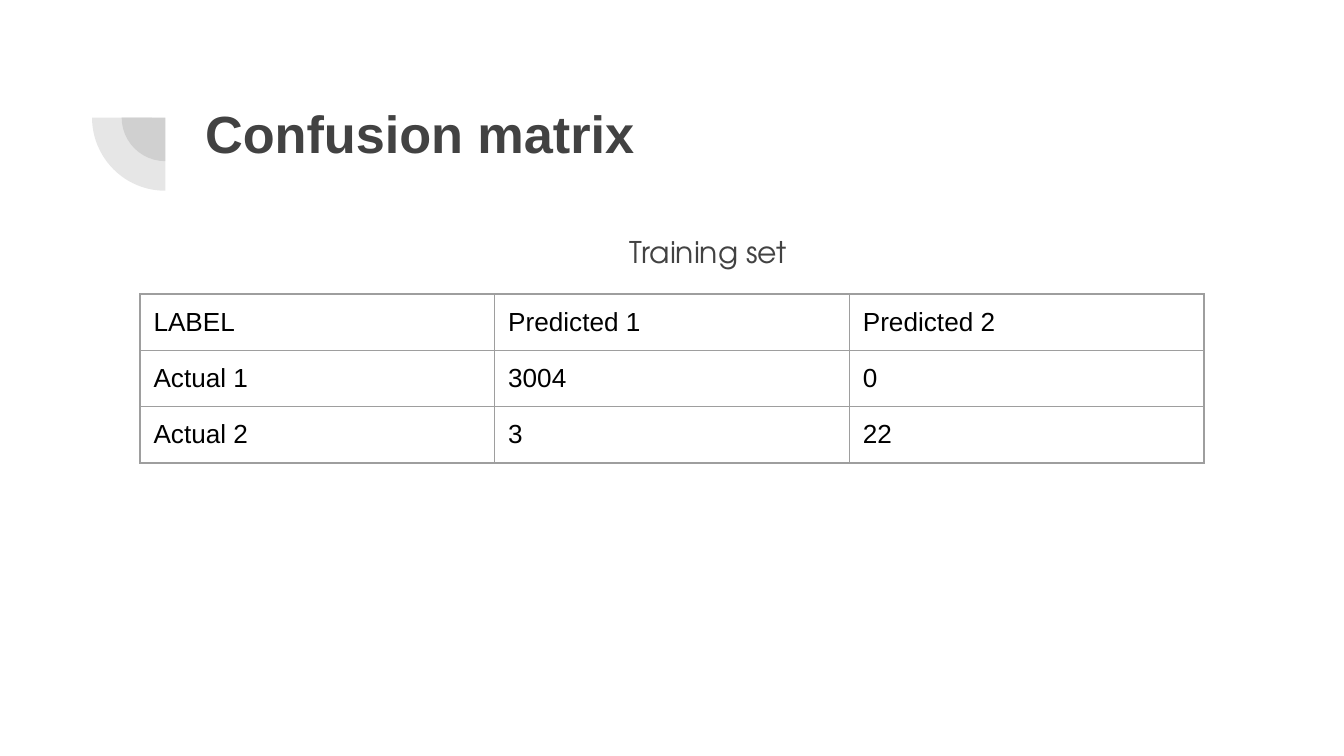
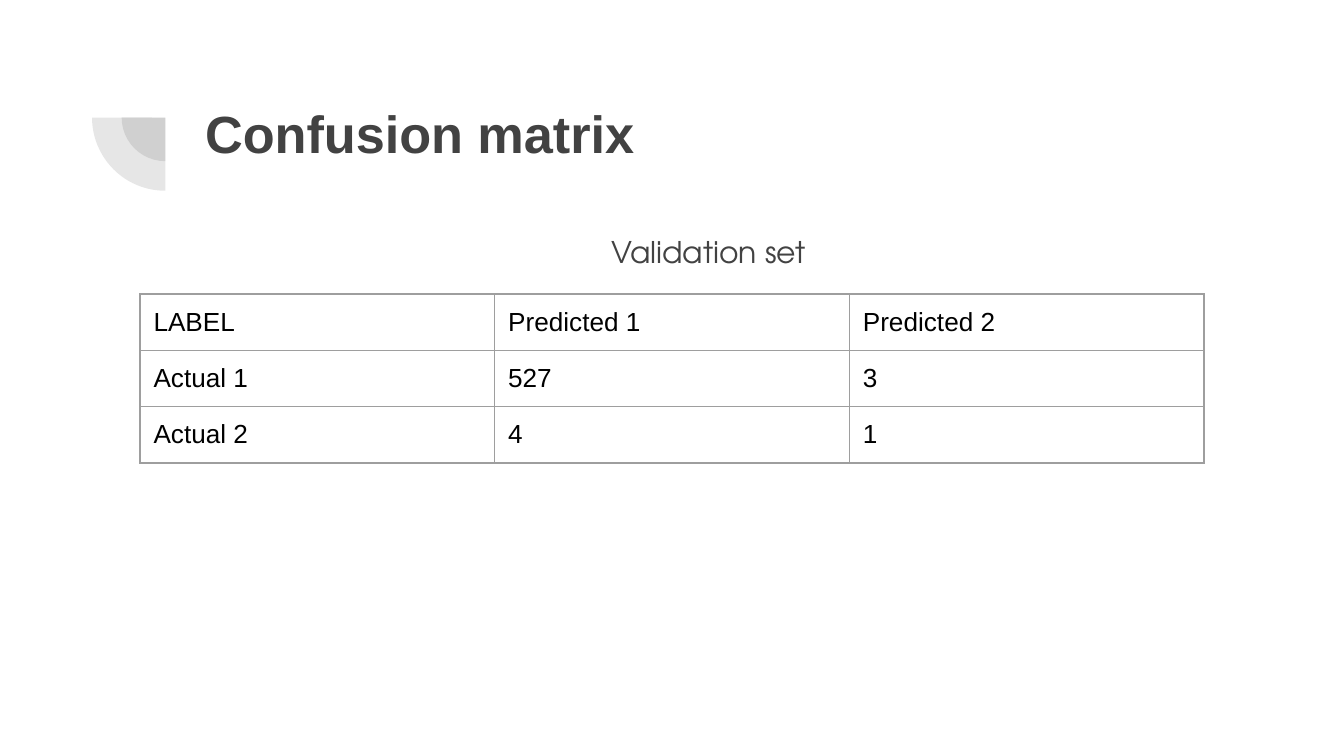
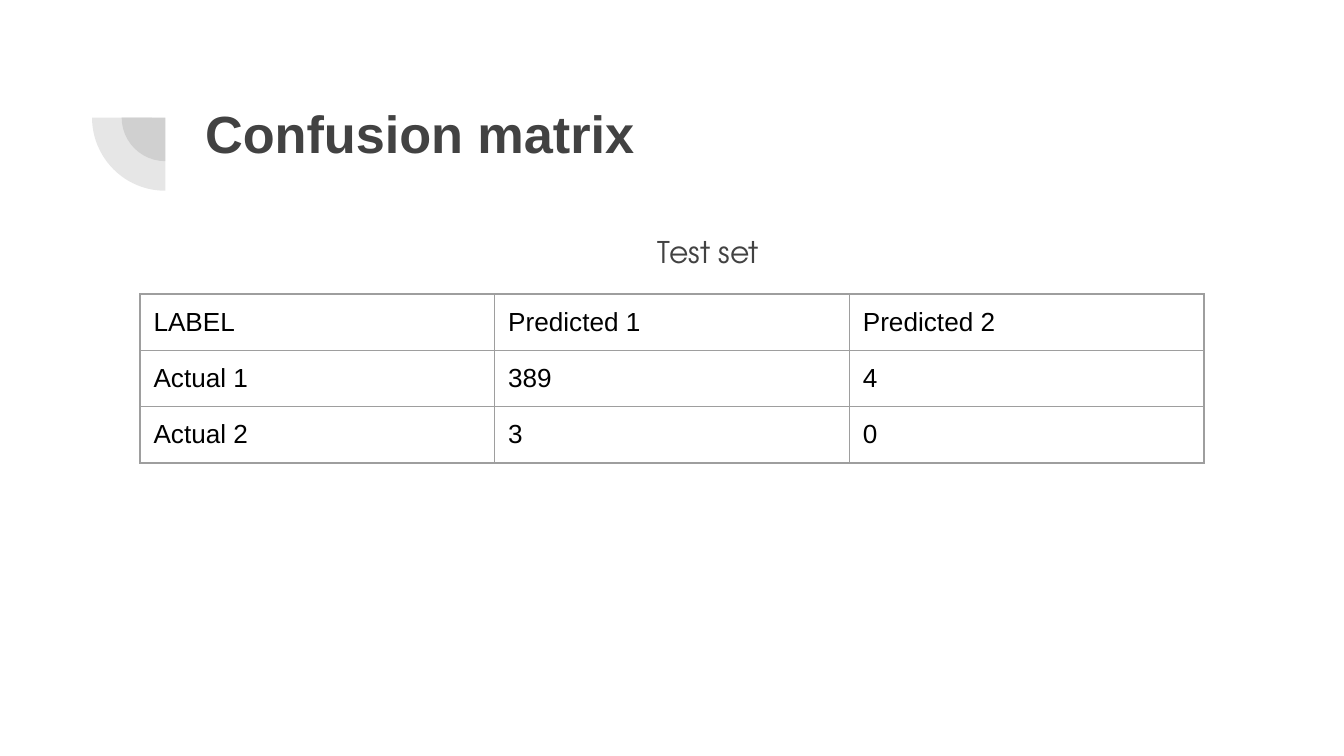
import pptx
import pptx.util
import pptx.dml.color
import pptx.enum.shapes
import pptx.enum.text
import pptx.oxml
import pptx.oxml.ns
import lxml.etree

WIDE = pptx.util.Inches(10)
HIGH = WIDE * 9 // 16
INSET = pptx.util.Inches(0.1)
HUES = {"ink": "424242", "cell": "000000", "rule": "9E9E9E", "page": "FFFFFF"}
FONTS = {"main": "Arial", "sub": "TeX Gyre Adventor"}
ALIGN = pptx.enum.text.PP_ALIGN
HEAD = ["LABEL", "Predicted 1", "Predicted 2"]
SETS = [
    ("Training set", [[3004, 0], [3, 22]]),
    ("Validation set", [[527, 3], [4, 1]]),
    ("Test set", [[389, 4], [3, 0]]),
]


def across(share):
    return round(WIDE * share / 100)


def down(share):
    return round(HIGH * share / 100)


def area(left, top, width, height):
    return across(left), down(top), across(width), down(height)


def color(name):
    return pptx.dml.color.RGBColor.from_string(HUES[name])


def style(frame, font, size, hue, bold=False, align=ALIGN.LEFT):
    for para in frame.paragraphs:
        para.alignment = align
        for run in para.runs:
            run.font.name = FONTS[font]
            run.font.size = pptx.util.Pt(size)
            run.font.bold = bold
            run.font.color.rgb = color(hue)


def inset(frame):
    frame.margin_left = frame.margin_right = INSET
    frame.margin_top = frame.margin_bottom = INSET
    frame.word_wrap = True
    frame.auto_size = pptx.enum.text.MSO_AUTO_SIZE.NONE
    frame.vertical_anchor = pptx.enum.text.MSO_ANCHOR.TOP


def add_title(slide, text):
    title = slide.shapes.title
    title.left, title.top, title.width, title.height = area(14.26, 11.56, 76.9, 19.4)
    frame = title.text_frame
    frame.text = text
    inset(frame)
    style(frame, "main", 28, "ink", bold=True)


def add_mark(slide):
    group = slide.shapes.add_group_shape()
    for share in (6.5, 10.9):
        size = across(share)
        pie = group.shapes.add_shape(
            pptx.enum.shapes.MSO_SHAPE.PIE,
            across(12.3) - size // 2, down(15.54) - size // 2, size, size)
        pie.adjustments[0] = 108
        pie.adjustments[1] = 162
        pie.rotation = 270
        pie.shadow.inherit = False
        pie.line.fill.background()
        pie.fill.solid()
        pie.fill.fore_color.rgb = color("ink")
        tint = pie.element.spPr.find(".//" + pptx.oxml.ns.qn("a:srgbClr"))
        lxml.etree.SubElement(tint, pptx.oxml.ns.qn("a:alpha"), val="13000")
    slide.shapes.title.element.addprevious(group.element)


def add_label(slide, text):
    frame = slide.shapes.add_textbox(*area(28.46, 28.44, 48.5, 13.5)).text_frame
    frame.text = text
    inset(frame)
    style(frame, "sub", 16, "ink", align=ALIGN.CENTER)
    para = frame.paragraphs[0]
    para.line_spacing = 1.15
    para.space_after = pptx.util.Pt(16)


def edge(cell):
    props = cell._tc.get_or_add_tcPr()
    for spot, side in enumerate(("lnL", "lnR", "lnT", "lnB")):
        line = pptx.oxml.parse_xml(
            f'<a:{side} {pptx.oxml.ns.nsdecls("a")} w="{pptx.util.Pt(0.75)}">'
            f'<a:solidFill><a:srgbClr val="{HUES["rule"]}"/></a:solidFill></a:{side}>')
        props.insert(spot, line)


def add_grid(slide, rows):
    place = area(10.42, 38.9, 79.17, 7.41 * len(rows))
    table = slide.shapes.add_table(len(rows), len(rows[0]), *place).table
    table.first_row = table.horz_banding = False
    for line, row in enumerate(rows):
        for spot, value in enumerate(row):
            cell = table.cell(line, spot)
            cell.margin_left = cell.margin_right = INSET
            cell.margin_top = cell.margin_bottom = INSET
            cell.fill.background()
            cell.text_frame.text = str(value)
            style(cell.text_frame, "main", 14, "cell")
            edge(cell)


def main():
    deck = pptx.Presentation()
    deck.slide_width, deck.slide_height = WIDE, HIGH
    fill = deck.slide_master.background.fill
    fill.solid()
    fill.fore_color.rgb = color("page")
    for label, counts in SETS:
        slide = deck.slides.add_slide(deck.slide_layouts[5])
        add_title(slide, "Confusion matrix")
        add_mark(slide)
        add_label(slide, label)
        body = [[f"Actual {rank}", *row] for rank, row in enumerate(counts, 1)]
        add_grid(slide, [HEAD, *body])
    deck.save("out.pptx")


if __name__ == "__main__":
    main()
